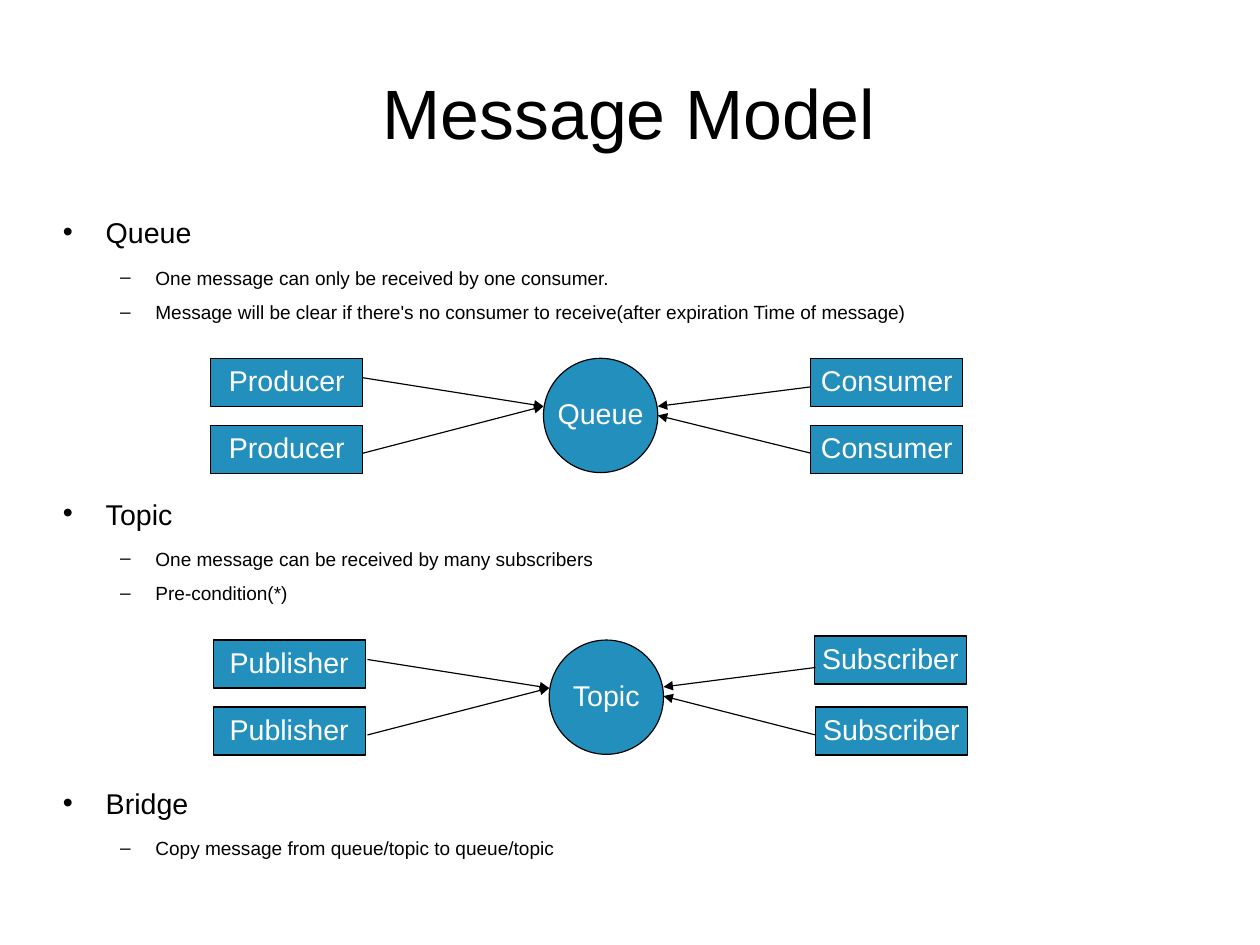
from pptx import Presentation
from pptx.dml.color import RGBColor as Rgb
from pptx.enum.shapes import MSO_CONNECTOR as Link, MSO_SHAPE as Kind
from pptx.enum.text import MSO_ANCHOR as Anchor, PP_ALIGN as Align
from pptx.oxml.ns import qn
from pptx.util import Cm, Inches, Pt
from lxml.etree import SubElement as Sub

HUES = {"ink": "000000", "node": "228FBD", "label": "FFFFFF"}
NODE = (133, 42)
HUB = 100
DROP = 58.5

TEXT = [
    (0, "Queue", 0),
    (1, "One message can only be received by one consumer.", 0),
    (1, "Message will be clear if there's no consumer to receive(after expiration Time of message)", 0),
    (0, "Topic", 103.2),
    (1, "One message can be received by many subscribers", 0),
    (1, "Pre-condition(*)", 0),
    (0, "Bridge", 108.7),
    (1, "Copy message from queue/topic to queue/topic", 0),
]
LEVELS = [
    {"size": 18, "after": 14.3, "left": 37.5, "hang": 37.5, "mark": "•"},
    {"size": 12, "after": 11.4, "left": 81, "hang": 31, "mark": "–"},
]
FLOWS = [
    {"box": (184.5, 313.5), "names": ("Producer", "Queue", "Consumer"),
     "hub": 291, "gap": 0, "right": [(525, 0), (525, DROP)],
     "ends": [(525, 25, 42), (525, 83, 50)]},
    {"box": (186.5, 560), "names": ("Publisher", "Topic", "Subscriber"),
     "hub": 294, "gap": 2, "right": [(526, -3.5), (527, DROP)],
     "ends": [(527, 24, 41), (527, 83, 49)]},
]


def cell(num):
    return Inches(num / 100)


def hue(name):
    return Rgb.from_string(HUES[name])


def apply(item, form):
    for key, val in form.items():
        setattr(item, key, val)


def write(para, text, size, color):
    run = para.add_run()
    run.text = text
    apply(run.font, {"size": Pt(size), "name": "Arial"})
    run.font.color.rgb = hue(color)


def frame(slide, box, form):
    area = slide.shapes.add_textbox(*map(cell, box)).text_frame
    apply(area, {"word_wrap": True, "margin_left": 0, "margin_right": 0,
                 "margin_top": 0, "margin_bottom": 0, **form})
    return area


def title(slide, box):
    para = frame(slide, box, {"vertical_anchor": Anchor.MIDDLE}).paragraphs[0]
    apply(para, {"alignment": Align.CENTER, "line_spacing": 0.93})
    write(para, "Message Model", 44, "ink")


def body(slide, box):
    area = frame(slide, box, {"margin_top": cell(3)})
    for num, (rank, text, before) in enumerate(TEXT):
        para = area.add_paragraph() if num else area.paragraphs[0]
        level = LEVELS[rank]
        apply(para, {"level": rank, "line_spacing": 0.73,
                     "space_before": Pt(before), "space_after": Pt(level["after"])})
        props = para._p.get_or_add_pPr()
        props.set("marL", str(cell(level["left"])))
        props.set("indent", str(-cell(level["hang"])))
        Sub(props, qn("a:buFont")).set("typeface", "Arial")
        Sub(props, qn("a:buChar")).set("char", level["mark"])
        write(para, text, level["size"], "ink")


def node(slide, kind, box, text):
    shape = slide.shapes.add_shape(kind, *map(cell, box))
    shape.shadow.inherit = False
    shape.fill.solid()
    shape.fill.fore_color.rgb = hue("node")
    shape.line.color.rgb = hue("ink")
    shape.line.width = Pt(0.75)
    apply(shape.text_frame, {"word_wrap": False, "vertical_anchor": Anchor.MIDDLE})
    para = shape.text_frame.paragraphs[0]
    apply(para, {"alignment": Align.CENTER, "line_spacing": 0.93})
    write(para, text, 18, "label")


def arrow(slide, ends):
    line = slide.shapes.add_connector(Link.STRAIGHT, *map(cell, ends))
    line.line.color.rgb = hue("ink")
    line.line.width = Pt(0.75)
    Sub(line.line._get_or_add_ln(), qn("a:tailEnd")).set("type", "triangle")
    Sub(line._element.spPr, qn("a:effectLst"))


def flow(slide, box, names, hub, gap, right, ends):
    x, y = box
    source, middle, target = names
    for top in (0, DROP):
        node(slide, Kind.RECTANGLE, (x, y + top, *NODE), source)
    for left, top in right:
        node(slide, Kind.RECTANGLE, (x + left, y + top, *NODE), target)
    node(slide, Kind.OVAL, (x + hub, y, HUB, HUB), middle)
    for top in (17, 83):
        arrow(slide, (x + NODE[0] + gap, y + top, x + hub, y + 42))
    for left, top, stop in ends:
        arrow(slide, (x + left, y + top, x + hub + HUB, y + stop))


def main():
    deck = Presentation()
    deck.slide_width = Cm(28)
    deck.slide_height = Cm(21)
    slide = deck.slides.add_slide(deck.slide_layouts[6])
    body(slide, (55, 193, 991, 603))
    title(slide, (55, 33, 991, 137))
    for form in FLOWS:
        flow(slide, **form)
    deck.save("out.pptx")


if __name__ == "__main__":
    main()
